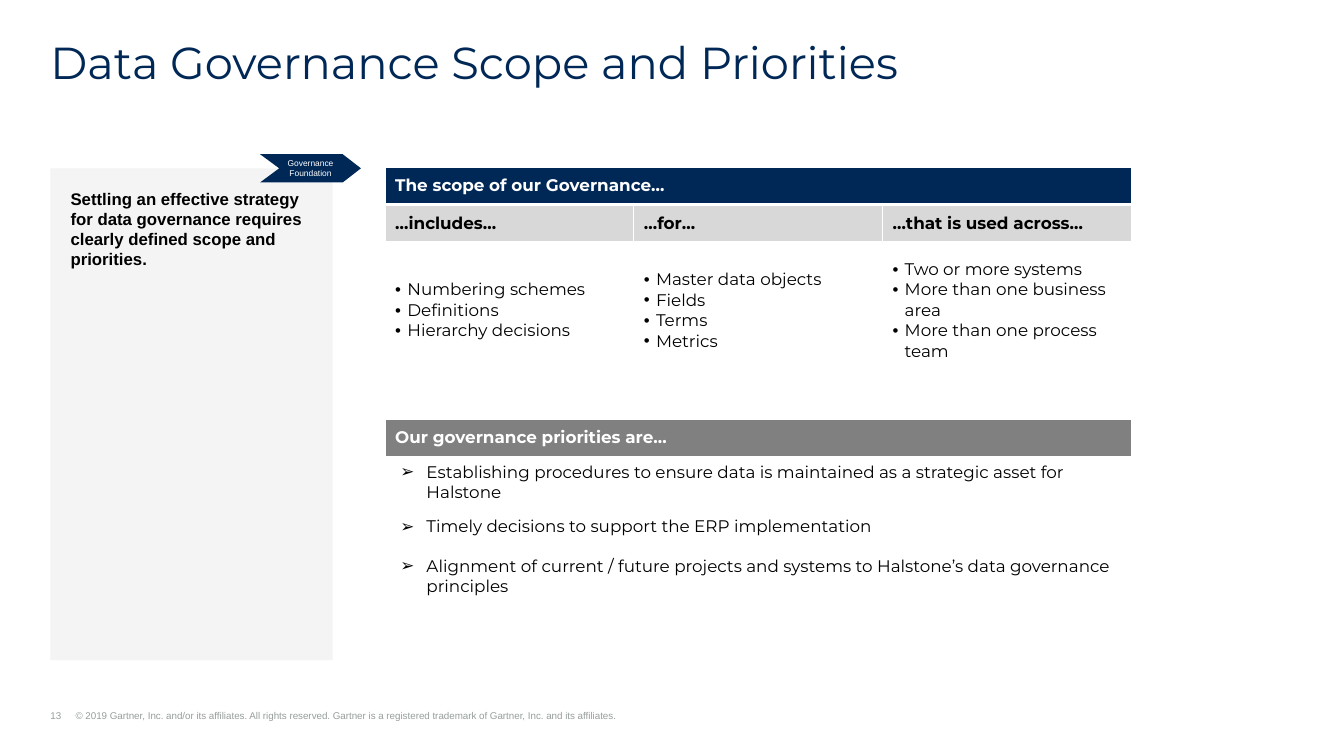
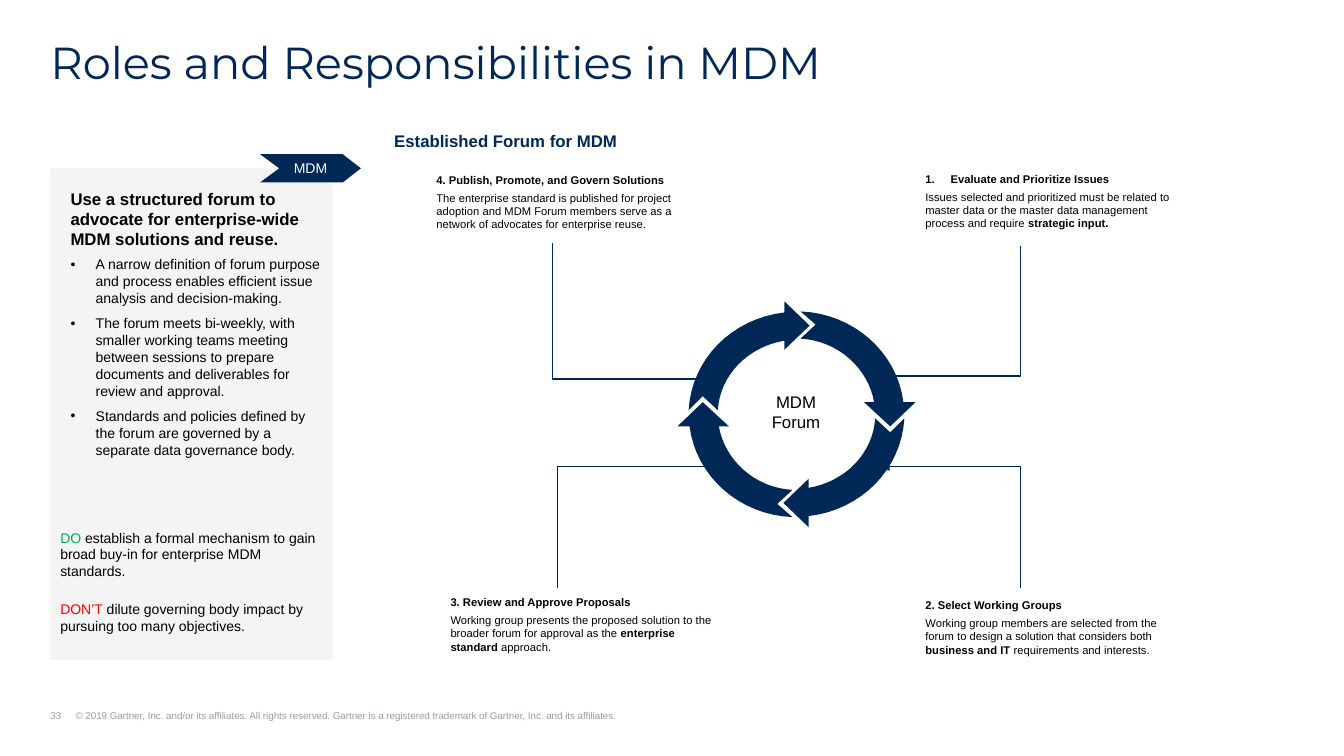
import pptx
import pptx.dml.color
import pptx.enum.shapes
import pptx.enum.text
import pptx.oxml.ns
import pptx.util
from lxml import etree

Inches, Pt = pptx.util.Inches, pptx.util.Pt
Rgb = pptx.dml.color.RGBColor.from_string
Align = pptx.enum.text.PP_ALIGN
Anchor = pptx.enum.text.MSO_ANCHOR
qn = pptx.oxml.ns.qn

THEME = {
    "navy": "002856", "panel": "F4F4F4", "band": "D8D8D8", "gray": "808080",
    "footer": "979D9D", "white": "FFFFFF", "black": "000000",
    "green": "00B050", "red": "FF0000",
    "title": 32, "body": 12, "small": 10, "callout": 8, "fine": 7, "tag": 6,
    "head_font": "Montserrat", "body_font": "Arial",
}


def write(frame, paras, size="body", color="black", name="body_font", bold=False,
          insets=(0.1, 0.05, 0.1, 0.05), anchor=Anchor.TOP):
    """Fill a text frame or table cell; a para is a dict of spans, bullet, indent and formats."""
    sides = zip(("left", "top", "right", "bottom"), insets)
    for side, inset in sides:
        setattr(frame, "margin_" + side, Inches(inset))
    frame.vertical_anchor = anchor
    frame.word_wrap = True
    text = getattr(frame, "text_frame", frame)
    for index, spec in enumerate(paras):
        para = text.paragraphs[0] if index == 0 else text.add_paragraph()
        para.alignment = Align.LEFT
        for key, value in spec.get("format", {}).items():
            setattr(para, key, value)
        props = para._p.get_or_add_pPr()
        if "indent" in spec:
            margin, hang = spec["indent"]
            props.set("marL", str(Inches(margin)))
            props.set("indent", str(-Inches(hang)))
        bullet = spec.get("bullet")
        if bullet == "1.":
            etree.SubElement(props, qn("a:buAutoNum"), type="arabicPeriod")
        elif bullet:
            etree.SubElement(props, qn("a:buFont"), typeface=THEME["body_font"])
            etree.SubElement(props, qn("a:buChar"), char=bullet)
        if "tab" in spec:
            tabs = etree.SubElement(props, qn("a:tabLst"))
            etree.SubElement(tabs, qn("a:tab"), pos=str(Inches(spec["tab"])), algn="l")
        for words, changes in spec["spans"]:
            look = {"size": size, "color": color, "name": name, "bold": bold, **changes}
            span = para.add_run()
            span.text = words
            span.font.color.rgb = Rgb(THEME[look["color"]])
            font = {"size": Pt(THEME[look["size"]]), "name": THEME[look["name"]],
                    "bold": look["bold"]}
            for key, value in font.items():
                setattr(span.font, key, value)


def draw_outline(page, points, closed=True):
    """Draw points in inches; a point of six numbers is a cubic curve to its last pair."""
    path_points = [points[0]]
    for point in points[1:]:
        if len(point) == 2:
            path_points.append(point)
            continue
        start = path_points[-1]
        for step in range(1, 17):
            t = step / 16
            path_points.append(tuple(
                (1 - t) ** 3 * start[axis] + 3 * (1 - t) ** 2 * t * point[axis]
                + 3 * (1 - t) * t ** 2 * point[axis + 2] + t ** 3 * point[axis + 4]
                for axis in (0, 1)))
    corners = [(Inches(x), Inches(y)) for x, y in path_points]
    builder = page.shapes.build_freeform(*corners[0])
    builder.add_line_segments(corners[1:], close=closed)
    shape = builder.convert_to_shape()
    shape.shadow.inherit = False
    if closed:
        shape.fill.solid()
        shape.fill.fore_color.rgb = Rgb(THEME["navy"])
        shape.line.fill.background()
    else:
        shape.fill.background()
        shape.line.color.rgb = Rgb(THEME["navy"])
        shape.line.width = Pt(1)
        etree.SubElement(shape.line._get_or_add_ln(), qn("a:tailEnd"), type="triangle")
    return shape


deck = pptx.Presentation()
deck.slide_width, deck.slide_height = Inches(13.33), Inches(7.5)

# Shared frame of both slides
COPYRIGHT = ("© 2019 Gartner, Inc. and/or its affiliates. All rights reserved. "
             "Gartner is a registered trademark of Gartner, Inc. and its affiliates.")
PANEL_BULLETS = [
    ("A narrow definition of forum purpose and process enables efficient issue analysis "
     "and decision-making.", 5),
    ("The forum meets bi-weekly, with smaller working teams meeting between sessions to "
     "prepare documents and deliverables for review and approval.", 6),
    ("Standards and policies defined by the forum are governed by a separate data "
     "governance body.", 6),
]
SLIDES = [
    {"title": "Data Governance Scope and Priorities", "number": 13,
     "tag": "Governance Foundation", "tag_size": "tag",
     "lead": "Settling an effective strategy for data governance requires clearly "
             "defined scope and priorities.",
     "bullets": []},
    {"title": "Roles and Responsibilities in MDM", "number": 33,
     "tag": "MDM", "tag_size": "small",
     "lead": "Use a structured forum to advocate for enterprise-wide MDM solutions and reuse.",
     "bullets": PANEL_BULLETS},
]
TAG = [(3.4, 1.53), (3.58, 1.67), (3.4, 1.81), (2.58, 1.81), (2.77, 1.67), (2.58, 1.53)]

pages = []
for content in SLIDES:
    page = deck.slides.add_slide(deck.slide_layouts[6])
    pages.append(page)

    footer = page.shapes.add_textbox(Inches(0.5), Inches(7.04), Inches(7.99), Inches(0.12))
    write(footer.text_frame,
          [{"spans": [(f"{content['number']}\t{COPYRIGHT}", {})],
            "indent": (0.25, 0.25), "tab": 0.25}],
          size="fine", color="footer", insets=(0, 0, 0, 0), anchor=Anchor.BOTTOM)

    title = page.shapes.add_textbox(Inches(0.5), Inches(0.4), Inches(12.33), Inches(0.48))
    write(title.text_frame,
          [{"spans": [(content["title"], {})], "format": {"line_spacing": 0.9}}],
          size="title", color="navy", name="head_font", insets=(0, 0, 0, 0))

    panel = page.shapes.add_shape(pptx.enum.shapes.MSO_SHAPE.RECTANGLE,
                                  Inches(0.5), Inches(1.67), Inches(2.8), Inches(4.88))
    panel.shadow.inherit = False
    panel.fill.solid()
    panel.fill.fore_color.rgb = Rgb(THEME["panel"])
    panel.line.fill.background()
    panel_paras = [{"spans": [(content["lead"], {"bold": True})]}]
    for words, gap in content["bullets"]:
        panel_paras.append({"spans": [(words, {"size": "small"})], "bullet": "•",
                            "indent": (0.25, 0.25), "format": {"space_before": Pt(gap)}})
    write(panel.text_frame, panel_paras, insets=(0.2, 0.2, 0.1, 0.2))

    tag = draw_outline(page, TAG)
    write(tag.text_frame,
          [{"spans": [(content["tag"], {})], "format": {"alignment": Align.CENTER}}],
          size=content["tag_size"], color="white", insets=(0.2, 0, 0.2, 0),
          anchor=Anchor.MIDDLE)

scope_page, roles_page = pages

# Scope and priorities table
SCOPE = [
    ("…includes…", ["Numbering schemes", "Definitions", "Hierarchy decisions"]),
    ("…for…", ["Master data objects", "Fields", "Terms", "Metrics"]),
    ("…that is used across…", ["Two or more systems", "More than one business area",
                               "More than one process team"]),
]
PRIORITIES = [
    "Establishing procedures to ensure data is maintained as a strategic asset for Halstone",
    "Timely decisions to support the ERP implementation",
    "Alignment of current / future projects and systems to Halstone’s data governance "
    "principles",
]
ROW_HEIGHTS = [0.37, 0.37, 1.36, 0.4, 0.37, 0.51, 0.37, 0.62]
ROW_FILLS = {0: "navy", 1: "band", 4: "gray"}
SPLIT_ROWS = (1, 2)

table = scope_page.shapes.add_table(len(ROW_HEIGHTS), len(SCOPE), Inches(3.82), Inches(1.66),
                                    Inches(7.4), Inches(sum(ROW_HEIGHTS))).table
table.first_row = table.horz_banding = False
for column in table.columns:
    column.width = Inches(7.4 / len(SCOPE))
for row_index, height in enumerate(ROW_HEIGHTS):
    table.rows[row_index].height = Inches(height)
    for column_index in range(len(SCOPE)):
        cell = table.cell(row_index, column_index)
        for edge in "LRTB":
            thick = (row_index, edge) in ((0, "B"), (1, "T"))
            border = etree.SubElement(cell._tc.get_or_add_tcPr(), qn("a:ln" + edge),
                                      w=str(Pt(3 if thick else 1)))
            fill = etree.SubElement(border, qn("a:solidFill"))
            etree.SubElement(fill, qn("a:srgbClr"), val=THEME["white"])
        if row_index in ROW_FILLS:
            cell.fill.solid()
            cell.fill.fore_color.rgb = Rgb(THEME[ROW_FILLS[row_index]])
        else:
            cell.fill.background()
    if row_index not in SPLIT_ROWS:
        table.cell(row_index, 0).merge(table.cell(row_index, len(SCOPE) - 1))

table_text = {}
heading = {"bold": True, "color": "white"}
table_text[0, 0] = [{"spans": [("The scope of our Governance…", heading)]}]
table_text[4, 0] = [{"spans": [("Our governance priorities are…", heading)]}]
for column_index, (label, items) in enumerate(SCOPE):
    table_text[1, column_index] = [{"spans": [(label, {"bold": True})]}]
    table_text[2, column_index] = [
        {"spans": [(item, {})], "bullet": "•", "indent": (0.12, 0.12)} for item in items]
for row_index, priority in enumerate(PRIORITIES, start=5):
    table_text[row_index, 0] = [
        {"spans": [(priority, {})], "bullet": "➢", "indent": (0.31, 0.26)}]
for position, paras in table_text.items():
    write(table.cell(*position), paras, name="head_font", anchor=Anchor.MIDDLE)

# Advice at the foot of the panel
advice = roles_page.shapes.add_textbox(Inches(0.5), Inches(5.2), Inches(2.8), Inches(1.19))
write(advice.text_frame, [
    {"spans": [("DO", {"color": "green"}),
               (" establish a formal mechanism to gain broad buy-in for enterprise MDM "
                "standards.", {})]},
    {"spans": [("DON’T", {"color": "red"}),
               (" dilute governing body impact by pursuing too many objectives.", {})],
     "format": {"space_before": Pt(15)}},
], size="small")

# Ring of four arrows: two outlines, each repeated turned half round the centre
RING_CENTER = (7.9, 4.11)
RING_ARROWS = [
    [(8.02, 5.12), (8.54, 5.06, 8.94, 4.66, 8.97, 4.15), (8.83, 4.29), (8.68, 4.15),
     (8.66, 4.5, 8.38, 4.78, 8.02, 4.84), (8.02, 4.75), (7.77, 4.99), (8.02, 5.23)],
    [(9.08, 3.99), (8.96, 3.99), (8.9, 3.5, 8.47, 3.11, 7.94, 3.09), (8.09, 3.22),
     (7.94, 3.36), (8.31, 3.38, 8.61, 3.65, 8.67, 3.99), (8.57, 3.99), (8.83, 4.23)],
]
for arrow in RING_ARROWS:
    turned = [tuple(2 * RING_CENTER[i % 2] - value for i, value in enumerate(point))
              for point in arrow]
    draw_outline(roles_page, arrow)
    draw_outline(roles_page, turned)

hub = roles_page.shapes.add_textbox(Inches(7.55), Inches(3.84), Inches(0.69), Inches(0.5))
write(hub.text_frame,
      [{"spans": [("MDM Forum", {})], "format": {"alignment": Align.CENTER}}],
      insets=(0.05, 0.05, 0.05, 0.05))

# Steps of the forum, each with an elbow arrow into the ring
STRONG = {"bold": True}
STEPS = [
    {"at": (4.23, 1.67), "elbow": [(5.48, 2.41), (5.48, 3.76), (7.08, 3.76)],
     "heading": "4. Publish, Promote, and Govern Solutions",
     "spans": [("The enterprise standard is published for project adoption and MDM Forum "
                "members serve as a network of advocates for enterprise reuse.", {})]},
    {"at": (4.37, 5.86), "elbow": [(5.53, 5.83), (5.53, 4.63), (7.13, 4.63)],
     "heading": "3. Review and Approve Proposals",
     "spans": [("Working group presents the proposed solution to the broader forum for "
                "approval as the ", {}), ("enterprise standard ", STRONG), ("approach.", {})]},
    {"at": (9.08, 5.89), "elbow": [(10.12, 5.83), (10.12, 4.63), (8.74, 4.63)],
     "heading": "2. Select Working Groups",
     "spans": [("Working group members are selected from the forum to design a solution "
                "that considers both ", {}), ("business and IT ", STRONG),
               ("requirements and interests.", {})]},
    {"at": (9.08, 1.66), "elbow": [(10.12, 2.44), (10.12, 3.73), (8.74, 3.73)],
     "heading": "Evaluate and Prioritize Issues",
     "numbering": {"bullet": "1.", "indent": (0.25, 0.25)},
     "spans": [("Issues selected and prioritized must be related to master data or the "
                "master data management process and require ", {}),
               ("strategic input.", STRONG)]},
]
for step in STEPS:
    draw_outline(roles_page, step["elbow"], closed=False)
    left, top = step["at"]
    callout = roles_page.shapes.add_textbox(Inches(left), Inches(top), Inches(2.8), Inches(0.68))
    gap = {"space_after": Pt(3)}
    write(callout.text_frame, [
        {"spans": [(step["heading"], STRONG)], "format": gap, **step.get("numbering", {})},
        {"spans": step["spans"], "format": gap},
    ], size="callout")

subtitle = roles_page.shapes.add_textbox(Inches(3.91), Inches(1.3), Inches(3.24), Inches(0.4))
write(subtitle.text_frame, [{"spans": [("Established Forum for MDM", STRONG)]}],
      color="navy", insets=(0, 0, 0, 0))

deck.save("out.pptx")
